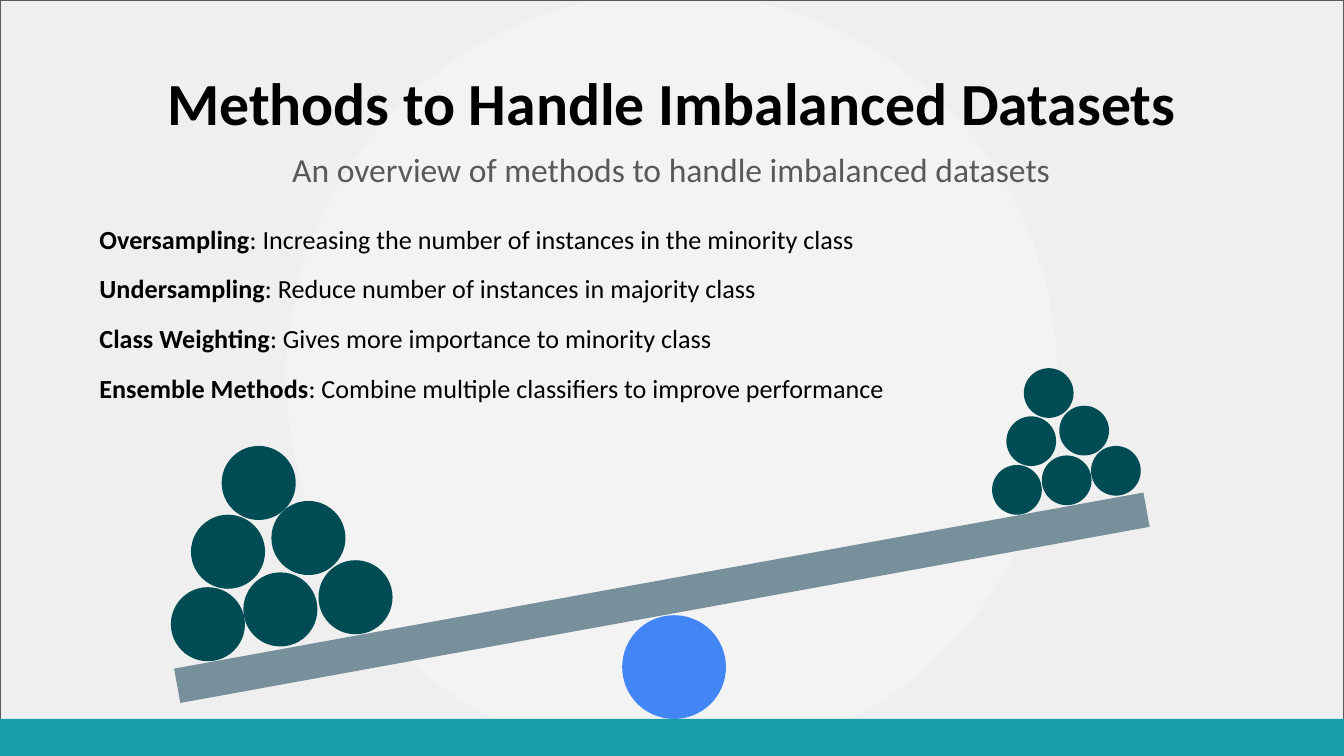
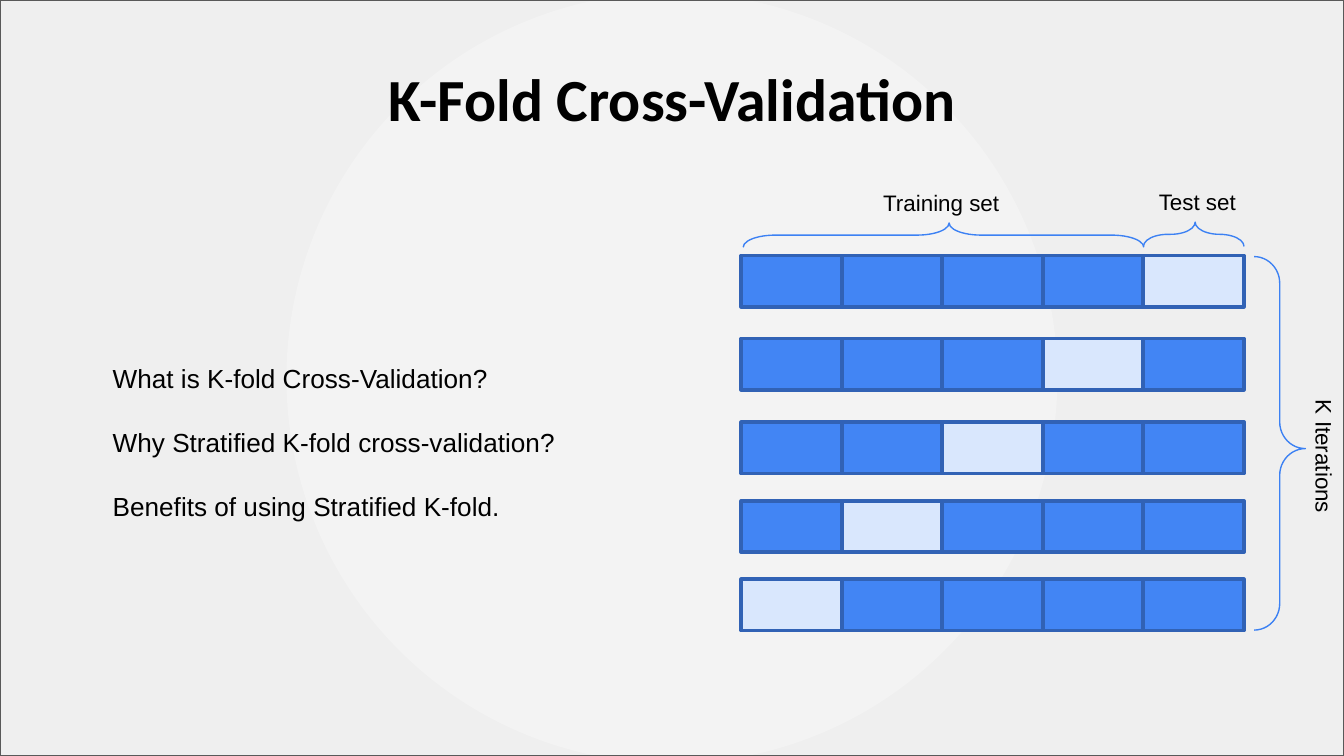
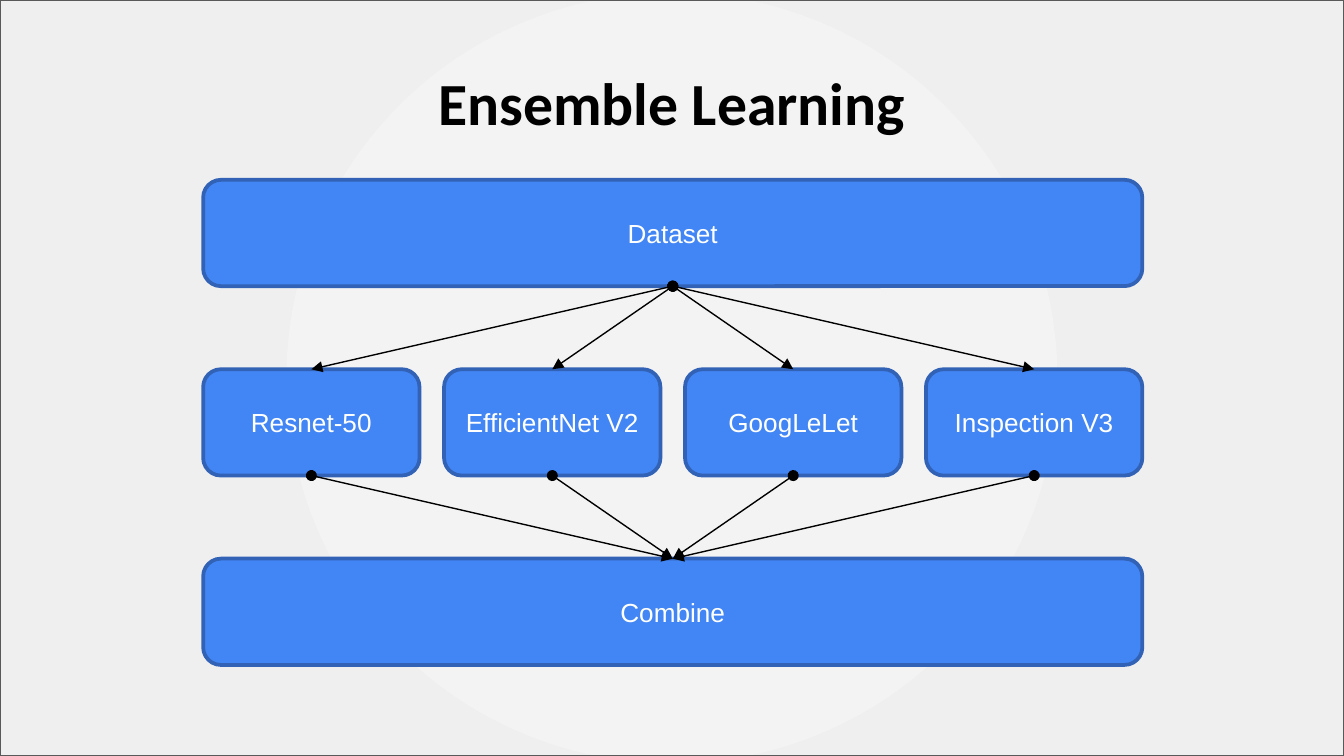
from lxml.etree import SubElement
from pptx import Presentation
from pptx.dml.color import RGBColor
from pptx.enum.shapes import MSO_CONNECTOR, MSO_SHAPE
from pptx.enum.text import MSO_ANCHOR, PP_ALIGN
from pptx.oxml import parse_xml
from pptx.oxml.ns import nsdecls, qn
from pptx.util import Cm, Pt

WIDTH, HEIGHT = 25.4, 14.29
BLACK, WHITE, GREY = "000000", "FFFFFF", "595959"
BLUE, PALE_BLUE, EDGE_BLUE, BRACE_BLUE = "4285F4", "D9E7FD", "3162B5", "3C81F3"
TEAL, DARK_TEAL, SLATE = "199DAB", "004C54", "78909C"
CENTER_COLOR, OUTER_COLOR = "F3F3F3", "EFEFEF"
TOP, BOTTOM = 0, 2

METHODS = [
    ("Oversampling", ": Increasing the number of instances in the minority class"),
    ("Undersampling", ": Reduce number of instances in majority class"),
    ("Class Weighting", ": Gives more importance to minority class"),
    ("Ensemble Methods", ": Combine multiple classifiers to improve performance"),
]
# Each pile: ball diameter, then the top left corner of every ball
PILES = [
    (0.94, [(20.62, 8.43), (19.69, 8.61), (18.75, 8.79),
            (19.02, 7.87), (20.02, 7.67), (19.35, 6.96)]),
    (1.4, [(6.02, 10.59), (4.6, 10.82), (3.23, 11.1),
           (3.61, 9.73), (5.13, 9.47), (4.19, 8.43)]),
]
QUESTIONS = [
    "What is K-fold Cross-Validation?",
    "Why Stratified K-fold cross-validation?",
    "Benefits of using Stratified K-fold.",
]
FOLD_TOPS = [4.83, 6.4, 7.98, 9.47, 10.95]
MODELS = ["Resnet-50", "EfficientNet V2", "GoogLeLet", "Inspection V3"]


def color(value):
    return RGBColor.from_string(value)


def style(span, size, font, ink, bold=False):
    span.font.size = Pt(size)
    span.font.name = font
    span.font.color.rgb = color(ink)
    span.font.bold = bold


def add_figure(page, kind, left, top, width, height,
               fill=None, line=None, weight=2, rotation=0):
    figure = page.shapes.add_shape(kind, Cm(left), Cm(top), Cm(width), Cm(height))
    figure.shadow.inherit = False
    figure.rotation = rotation
    if fill:
        figure.fill.solid()
        figure.fill.fore_color.rgb = color(fill)
    else:
        figure.fill.background()
    if line:
        figure.line.color.rgb = color(line)
        figure.line.width = Pt(weight)
    else:
        figure.line.fill.background()
    return figure


def add_text(page, lines, left, top, width, height, size, font="Calibri",
             ink=BLACK, bold=False, align=PP_ALIGN.LEFT, gap=0, rotation=0):
    """Add a text box with one paragraph a line, gap points apart."""
    box = page.shapes.add_textbox(Cm(left), Cm(top), Cm(width), Cm(height))
    box.rotation = rotation
    frame = box.text_frame
    frame.word_wrap = True
    frame.text = "\n".join(lines)
    for para in frame.paragraphs:
        para.alignment = align
        para.space_after = Pt(gap)
        for span in para.runs:
            style(span, size, font, ink, bold)
    return box


def add_backdrop(page):
    backdrop = add_figure(page, MSO_SHAPE.RECTANGLE, 0, 0, WIDTH, HEIGHT,
                          line=GREY, weight=0.75)
    gradient = parse_xml(
        f'<a:gradFill {nsdecls("a")} rotWithShape="1"><a:gsLst>'
        f'<a:gs pos="0"><a:srgbClr val="{CENTER_COLOR}"/></a:gs>'
        f'<a:gs pos="100000"><a:srgbClr val="{OUTER_COLOR}"/></a:gs></a:gsLst>'
        '<a:path path="circle">'
        '<a:fillToRect l="50000" t="50000" r="50000" b="50000"/>'
        '</a:path></a:gradFill>')
    properties = backdrop.element.spPr
    properties.replace(properties.find(qn("a:noFill")), gradient)


def add_page(deck, title, left=0.38, top=0.91):
    """Add a slide with the shared backdrop and a centred title."""
    page = deck.slides.add_slide(deck.slide_layouts[6])
    add_backdrop(page)
    box = add_text(page, [title], left, top, WIDTH - 2 * left, 2.01, 32,
                   bold=True, align=PP_ALIGN.CENTER)
    frame = box.text_frame
    frame.vertical_anchor = MSO_ANCHOR.MIDDLE
    frame.margin_top = frame.margin_bottom = Cm(0.25)
    return page


def add_brace(page, left, top, width, height, rotation, curve):
    brace = add_figure(page, MSO_SHAPE.LEFT_BRACE, left, top, width, height,
                       line=BRACE_BLUE, weight=0.75, rotation=rotation)
    brace.adjustments[0] = curve
    brace.adjustments[1] = 0.486


def add_label(page, text, left, top, width, rotation=0):
    add_text(page, [text], left, top, width, 0.7, 12, "Arial",
             align=PP_ALIGN.CENTER, rotation=rotation)


def add_node(page, text, left, top, width):
    node = add_figure(page, MSO_SHAPE.ROUNDED_RECTANGLE, left, top, width, 2.01,
                      BLUE, EDGE_BLUE)
    frame = node.text_frame
    frame.text = text
    frame.vertical_anchor = MSO_ANCHOR.MIDDLE
    para = frame.paragraphs[0]
    para.alignment = PP_ALIGN.CENTER
    style(para.runs[0], 14, "Arial", WHITE)
    return node


def add_arrow(page, source, target):
    """Join the bottom of source to the top of target."""
    arrow = page.shapes.add_connector(MSO_CONNECTOR.STRAIGHT, 0, 0, 0, 0)
    arrow.begin_connect(source, BOTTOM)
    arrow.end_connect(target, TOP)
    arrow.line.color.rgb = color(BLACK)
    arrow.line.width = Pt(0.75)
    properties = arrow.element.spPr
    outline = properties.find(qn("a:ln"))
    SubElement(outline, qn("a:headEnd"), type="oval")
    SubElement(outline, qn("a:tailEnd"), type="triangle")
    SubElement(properties, qn("a:effectLst"))


def build_methods(deck):
    page = add_page(deck, "Methods to Handle Imbalanced Datasets", left=2.03)
    subtitle = add_text(page, ["An overview of methods to handle imbalanced datasets"],
                        2.49, 2.57, 20.4, 1.78, 18, ink=GREY,
                        align=PP_ALIGN.CENTER, gap=12)
    subtitle.text_frame.margin_top = subtitle.text_frame.margin_bottom = Cm(0.25)
    for index, (method, meaning) in enumerate(METHODS):
        box = add_text(page, [method], 1.63, 4.09 + 0.94 * index, 20.68, 0.86, 14,
                       bold=True)
        span = box.text_frame.paragraphs[0].add_run()
        span.text = meaning
        style(span, 14, "Calibri", BLACK)

    add_figure(page, MSO_SHAPE.OVAL, 11.76, 11.63, 1.96, 1.96, BLUE)
    add_figure(page, MSO_SHAPE.RECTANGLE, 0, 13.59, WIDTH, 0.7, TEAL)
    add_figure(page, MSO_SHAPE.RECTANGLE, 3.2, 10.97, 18.62, 0.66, SLATE,
               rotation=349.7)
    for diameter, corners in PILES:
        for left, top in corners:
            add_figure(page, MSO_SHAPE.OVAL, left, top, diameter, diameter, DARK_TEAL)


def build_folds(deck):
    page = add_page(deck, "K-Fold Cross-Validation", top=0.84)
    add_text(page, QUESTIONS, 1.88, 6.73, 12.7, 4.45, 14, "Arial", gap=17.4)
    count = len(FOLD_TOPS)
    for row, top in enumerate(FOLD_TOPS):
        for column in range(count):
            is_test = column == count - 1 - row
            add_figure(page, MSO_SHAPE.RECTANGLE, 14.01 + 1.9 * column, top, 1.9, 0.97,
                       PALE_BLUE if is_test else BLUE, EDGE_BLUE)
    add_brace(page, 17.6, 0.66, 0.46, 7.57, 90, 1.312)
    add_brace(page, 22.33, 3.48, 0.46, 1.9, 90, 1.312)
    add_label(page, "Training set", 16.38, 3.45, 2.82)
    add_label(page, "Test set", 21.54, 3.43, 2.18)
    add_brace(page, 23.7, 4.85, 0.97, 7.06, 180, 0.52)
    add_label(page, "K Iterations", 23.47, 8.28, 3.18, 90)


def build_ensemble(deck):
    page = add_page(deck, "Ensemble Learning")
    left, width, model_width = 3.84, 17.75, 4.09
    pitch = (width - model_width) / (len(MODELS) - 1)
    dataset = add_node(page, "Dataset", left, 3.4, width)
    models = [add_node(page, name, left + pitch * index, 6.98, model_width)
              for index, name in enumerate(MODELS)]
    combine = add_node(page, "Combine", left, 10.56, width)
    for model in models:
        add_arrow(page, dataset, model)
    for model in models:
        add_arrow(page, model, combine)


def main():
    deck = Presentation()
    deck.slide_width, deck.slide_height = Cm(WIDTH), Cm(HEIGHT)
    build_methods(deck)
    build_folds(deck)
    build_ensemble(deck)
    deck.save("out.pptx")


if __name__ == "__main__":
    main()
